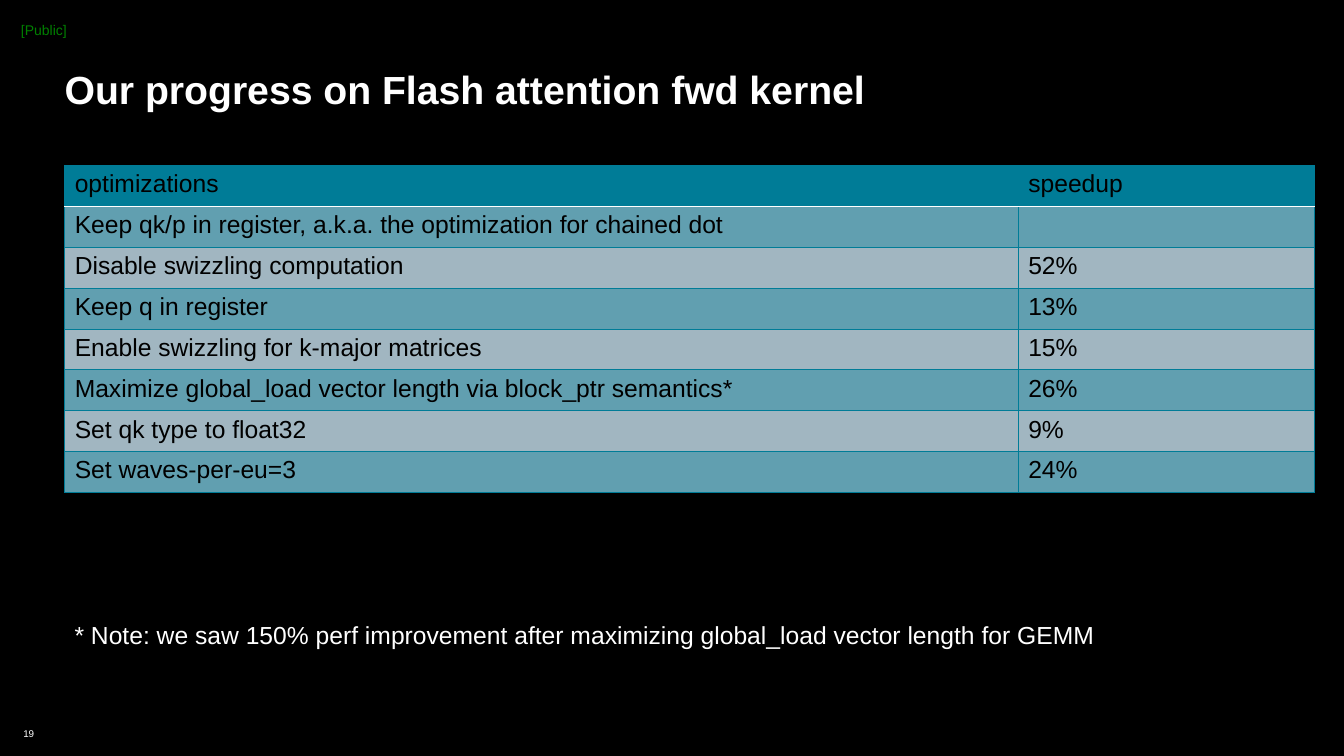
from dataclasses import dataclass

from lxml import etree
from pptx import Presentation
from pptx import util as u
from pptx.dml.color import RGBColor
from pptx.enum import text
from pptx.oxml import ns

COLORS = {
    "black": "000000",
    "white": "FFFFFF",
    "green": "008000",
    "teal": "007C97",
    "dark band": "619FB0",
    "light band": "A1B6C1",
}
FONT = "Arial"
BODY_SIZE = 17.6


@dataclass
class Label:
    words: str
    left: float
    top: float
    width: float
    height: float
    size: float
    color: str
    bold: bool = False
    wrap: bool = True
    margins: tuple[float, float] = (0, 0)
    align: text.PP_ALIGN = text.PP_ALIGN.LEFT
    anchor: text.MSO_ANCHOR = text.MSO_ANCHOR.TOP


@dataclass
class Optimization:
    name: str
    speedup: str


LABELS = [
    Label("[Public]", 0.53, 0.53, 1.24, 0.43, 10, "green"),
    Label("Our progress on Flash attention fwd kernel",
          1.63, 1.65, 30.6, 1.2, 28, "white", bold=True),
    Label("* Note: we saw 150% perf improvement after maximizing global_load vector length for GEMM",
          1.63, 15.5, 26.57, 1.02, BODY_SIZE, "white", wrap=False, margins=(0.25, 0.13)),
    Label("19", 0.53, 18.21, 0.33, 0.53, 7, "white", wrap=False, margins=(0, 0.1),
          align=text.PP_ALIGN.RIGHT, anchor=text.MSO_ANCHOR.MIDDLE),
]

OPTIMIZATIONS = [
    Optimization("optimizations", "speedup"),
    Optimization("Keep qk/p in register, a.k.a. the optimization for chained dot", ""),
    Optimization("Disable swizzling computation", "52%"),
    Optimization("Keep q in register", "13%"),
    Optimization("Enable swizzling for k-major matrices", "15%"),
    Optimization("Maximize global_load vector length via block_ptr semantics*", "26%"),
    Optimization("Set qk type to float32", "9%"),
    Optimization("Set waves-per-eu=3", "24%"),
]
COLUMN_WIDTHS = (24.03, 7.47)
ROW_HEIGHT = 1.03


def rgb(color: str) -> RGBColor:
    return RGBColor.from_string(COLORS[color])


def style(paragraph, size: float, color: str, bold: bool = False) -> None:
    font = paragraph.font
    font.name, font.size, font.bold = FONT, u.Pt(size), bold
    font.color.rgb = rgb(color)


def draw_label(slide, label: Label) -> None:
    box = slide.shapes.add_textbox(*map(u.Cm, (label.left, label.top, label.width, label.height)))
    frame = box.text_frame
    frame.word_wrap = label.wrap
    frame.vertical_anchor = label.anchor
    side, edge = map(u.Cm, label.margins)
    frame.margin_left = frame.margin_right = side
    frame.margin_top = frame.margin_bottom = edge
    paragraph = frame.paragraphs[0]
    paragraph.text = label.words
    paragraph.alignment = label.align
    style(paragraph, label.size, label.color, label.bold)


def set_borders(cell, top: str, bottom: str) -> None:
    properties = cell._tc.get_or_add_tcPr()
    sides = {"lnL": "teal", "lnR": "teal", "lnT": top, "lnB": bottom}
    # Borders come before the fill in the cell properties
    for position, (side, color) in enumerate(sides.items()):
        line = etree.Element(ns.qn(f"a:{side}"), w=str(u.Pt(0.75)))
        fill = etree.SubElement(line, ns.qn("a:solidFill"))
        etree.SubElement(fill, ns.qn("a:srgbClr"), val=COLORS[color])
        properties.insert(position, line)


def draw_table(slide, rows: list[Optimization]) -> None:
    table = slide.shapes.add_table(
        len(rows), len(COLUMN_WIDTHS), u.Cm(1.63), u.Cm(4.17),
        u.Cm(sum(COLUMN_WIDTHS)), u.Cm(ROW_HEIGHT * len(rows))).table
    table.first_row = table.horz_banding = False
    for column, width in zip(table.columns, COLUMN_WIDTHS):
        column.width = u.Cm(width)
    for index, row in enumerate(rows):
        table.rows[index].height = u.Cm(ROW_HEIGHT)
        band = "teal" if index == 0 else "dark band" if index % 2 else "light band"
        for cell, words in zip(table.rows[index].cells, (row.name, row.speedup)):
            cell.fill.solid()
            cell.fill.fore_color.rgb = rgb(band)
            set_borders(cell, top="white" if index == 1 else "teal",
                        bottom="white" if index == 0 else "teal")
            paragraph = cell.text_frame.paragraphs[0]
            paragraph.text = words
            style(paragraph, BODY_SIZE, "black")


def main() -> None:
    deck = Presentation()
    deck.slide_width, deck.slide_height = u.Cm(33.87), u.Cm(19.05)
    slide = deck.slides.add_slide(deck.slide_layouts[6])

    # Background
    slide.background.fill.solid()
    slide.background.fill.fore_color.rgb = rgb("black")

    # Title, markings and note
    for label in LABELS:
        draw_label(slide, label)

    # Speedup of each optimization
    draw_table(slide, OPTIMIZATIONS)

    deck.save("out.pptx")


if __name__ == "__main__":
    main()
